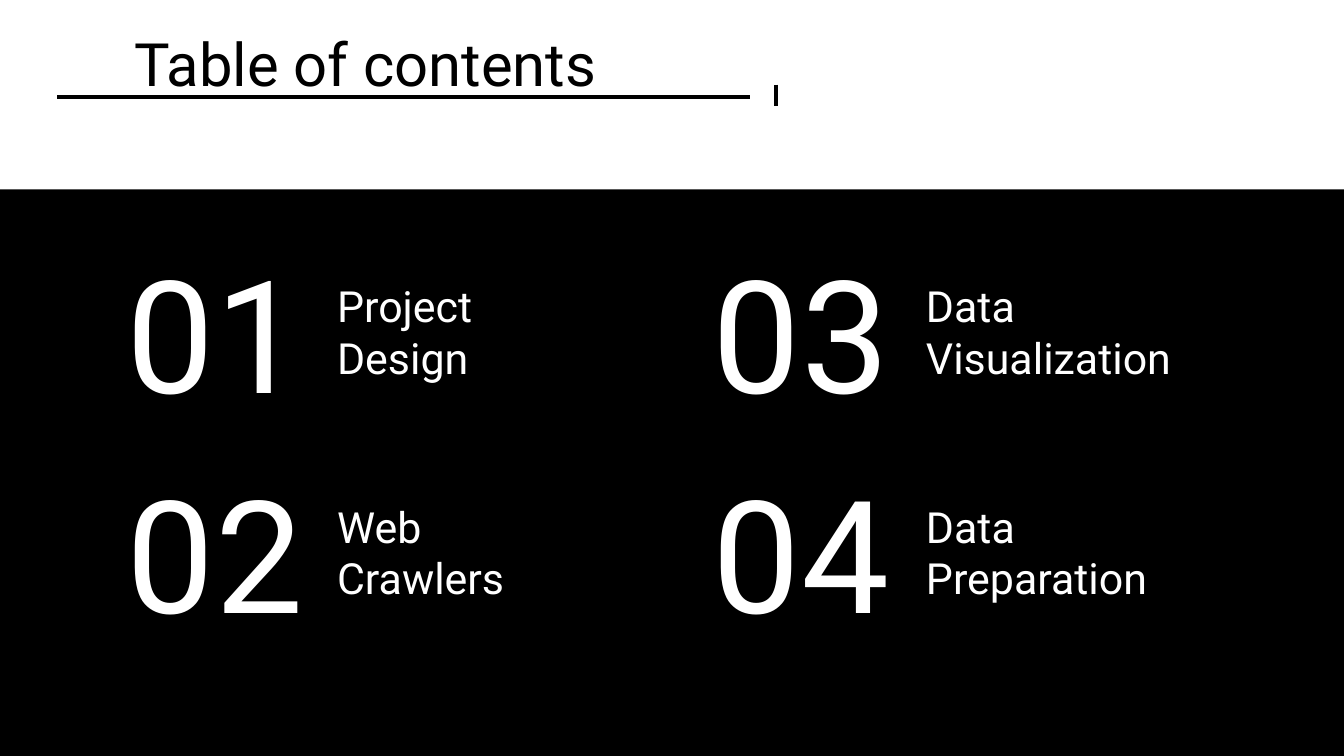
from lxml.etree import SubElement
from pptx import Presentation
from pptx.dml.color import RGBColor
from pptx.enum.shapes import MSO_CONNECTOR as Connector, MSO_SHAPE as Preset
from pptx.enum.text import MSO_ANCHOR as Anchor, MSO_AUTO_SIZE as AutoSize, PP_ALIGN as Align
from pptx.oxml.ns import qn
from pptx.util import Cm, Pt

BLACK = "000000"
WHITE = "FFFFFF"
SLIDE_WIDTH, SLIDE_HEIGHT = 25.4, 14.29
BAND_TOP = 3.58
COLUMNS = [
    {"number": (2.01, 4.11), "label": (6.12, 6.15)},
    {"number": (13.03, 4.22), "label": (17.25, 6.15)},
]
FIRST_ROW, ROW_PITCH = 4.85, 4.16
SECTIONS = [
    ["Project", "Design"],
    ["Web", "Crawlers"],
    ["Data", "Visualization"],
    ["Data Preparation"],
]
FRAME_FORMAT = {
    "word_wrap": True,
    "auto_size": AutoSize.NONE,
    "margin_left": Cm(0.25),
    "margin_right": Cm(0.25),
    "margin_top": Cm(0.25),
    "margin_bottom": Cm(0.25),
}


def color(value):
    return RGBColor.from_string(value)


def apply_format(target, values):
    for name, value in values.items():
        setattr(target, name, value)


def place(shape, left, top, width, height):
    apply_format(shape, {"left": Cm(left), "top": Cm(top),
                         "width": Cm(width), "height": Cm(height)})


def write(shape, lines, size, text_color, align=Align.LEFT, anchor=Anchor.BOTTOM):
    frame = shape.text_frame
    apply_format(frame, {**FRAME_FORMAT, "vertical_anchor": anchor})
    frame.text = "\n".join(lines)
    for paragraph in frame.paragraphs:
        properties = paragraph._p.get_or_add_pPr()
        apply_format(paragraph, {"alignment": align, "space_before": Pt(0),
                                 "line_spacing": 1.0})
        properties.set("marL", "0")
        properties.set("indent", "0")
        SubElement(properties, qn("a:buNone"))
        apply_format(paragraph.font, {"name": "Roboto", "size": Pt(size), "bold": False})
        paragraph.font.color.rgb = color(text_color)


def add_band(slide):
    band = slide.shapes.add_shape(Preset.RECTANGLE, 0, Cm(BAND_TOP), Cm(SLIDE_WIDTH),
                                  Cm(SLIDE_HEIGHT - BAND_TOP))
    band.shadow.inherit = False
    band.fill.solid()
    band.fill.fore_color.rgb = color(BLACK)
    band.line.fill.background()
    slide.shapes._spTree.insert(2, band._element)


def add_rule(slide, *ends):
    rule = slide.shapes.add_connector(Connector.STRAIGHT, *map(Cm, ends))
    rule.line.color.rgb = color(BLACK)
    rule.line.width = Pt(2.25)
    SubElement(rule._element.spPr, qn("a:effectLst"))


def add_title(slide, text):
    title = slide.shapes.title
    place(title, 2.29, 0.25, 20.8, 1.6)
    write(title, [text], 32, BLACK, anchor=Anchor.TOP)


def add_number(slide, text, left, top, width):
    number = slide.shapes.add_textbox(0, 0, 0, 0)
    place(number, left, top, width, 3.43)
    write(number, [text], 84, WHITE, align=Align.CENTER)


def add_section(slide, index, lines):
    column, row = divmod(index, 2)
    top = FIRST_ROW + row * ROW_PITCH
    number_left, number_width = COLUMNS[column]["number"]
    label_left, label_width = COLUMNS[column]["label"]
    add_number(slide, f"{index + 1:02}", number_left, top, number_width)
    label = slide.placeholders[index + 1]
    place(label, label_left, top + 0.48, label_width, 2.16)
    write(label, lines, 23, WHITE)


def main():
    presentation = Presentation()
    apply_format(presentation, {"slide_width": Cm(SLIDE_WIDTH),
                                "slide_height": Cm(SLIDE_HEIGHT)})
    comparison_layout = presentation.slide_layouts[4]
    slide = presentation.slides.add_slide(comparison_layout)
    slide.background.fill.solid()
    slide.background.fill.fore_color.rgb = color(WHITE)
    add_band(slide)
    add_title(slide, "Table of contents")
    for index, lines in enumerate(SECTIONS):
        add_section(slide, index, lines)
    add_rule(slide, 14.17, 1.83, 1.07, 1.83)
    add_rule(slide, 14.66, 1.6, 14.66, 2.01)
    presentation.save("out.pptx")


if __name__ == "__main__":
    main()
